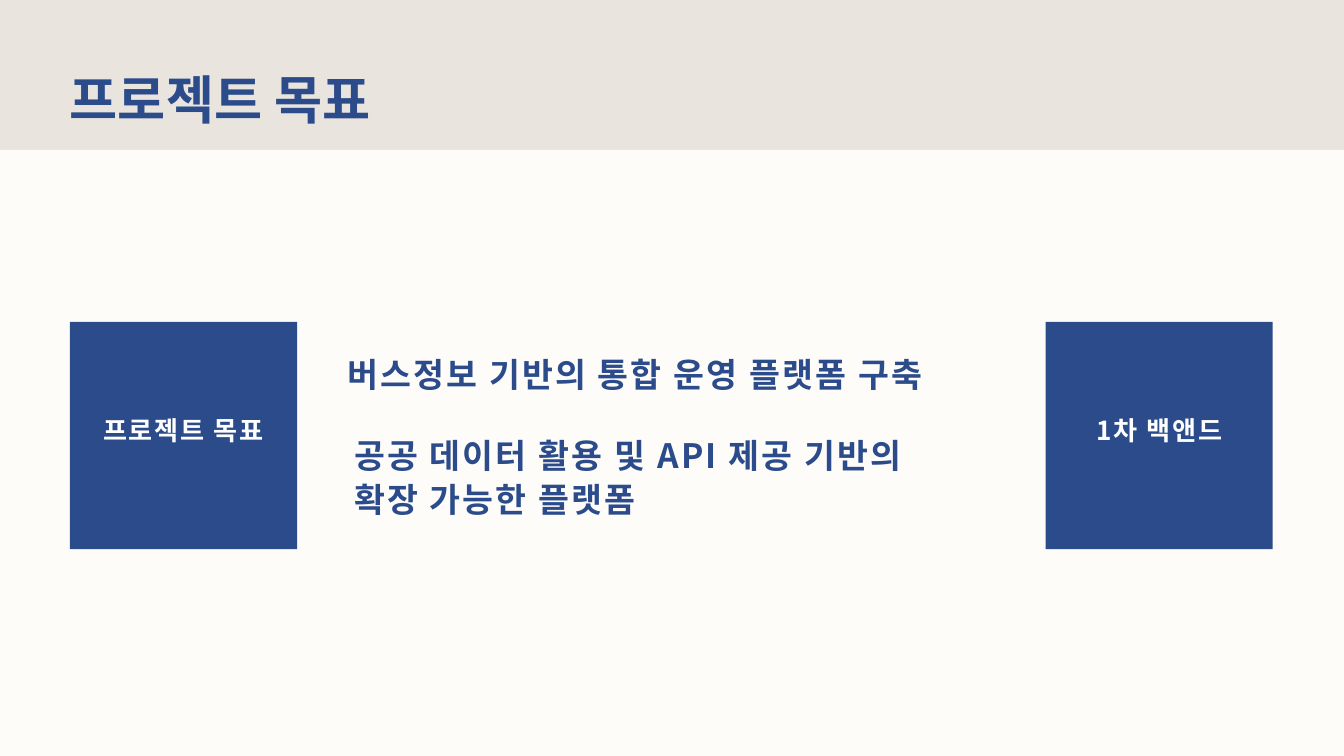
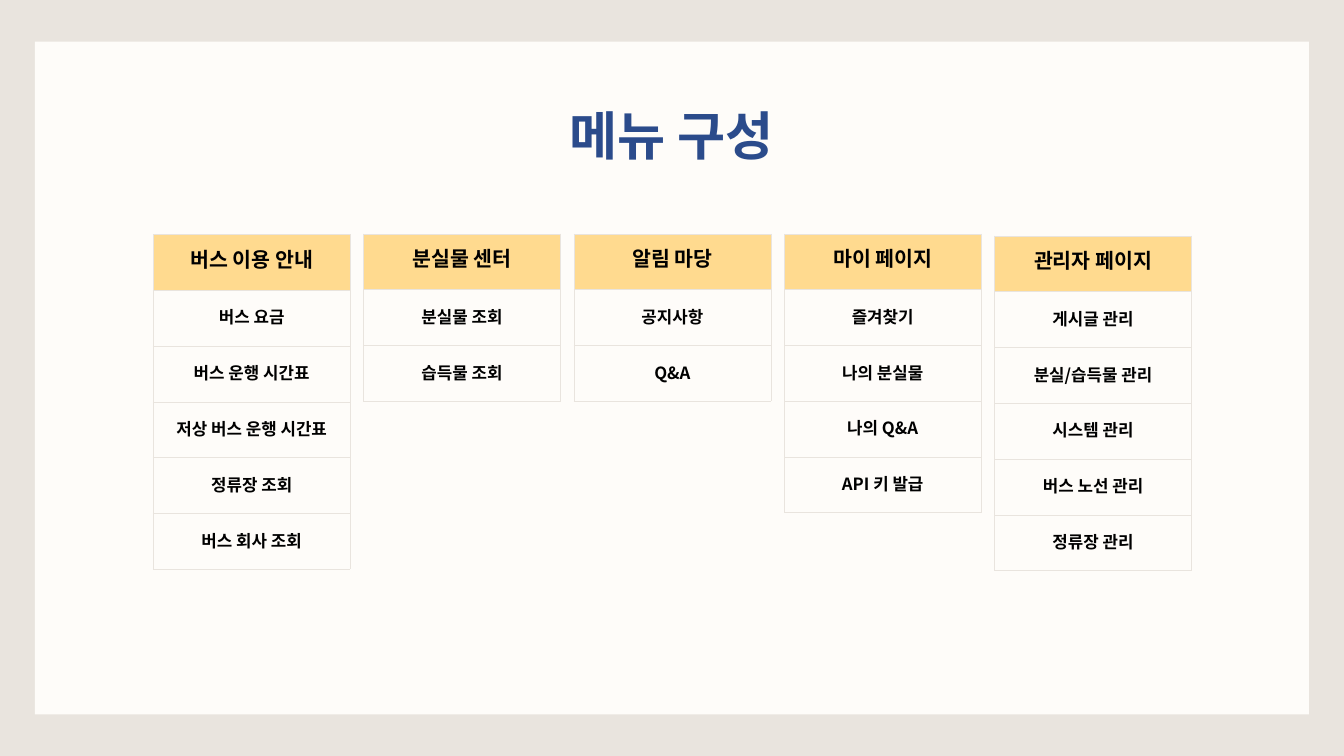
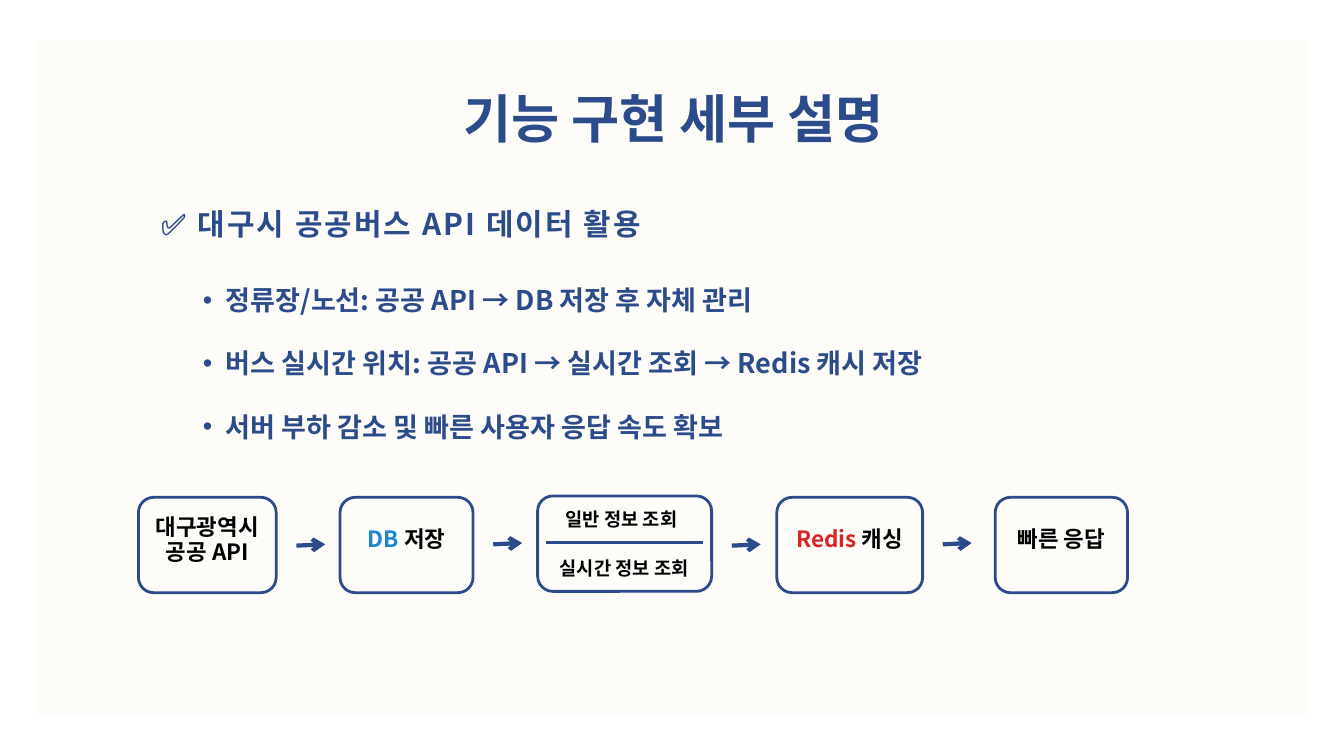
from pptx import Presentation
from pptx.dml.color import RGBColor
from pptx.enum.shapes import MSO_CONNECTOR, MSO_SHAPE
from pptx.enum.text import MSO_ANCHOR, PP_ALIGN
from pptx.oxml.ns import qn
from pptx.util import Inches, Pt
from lxml.etree import SubElement

# Shared look
NAVY = RGBColor(0x2B, 0x4B, 0x8B)
CREAM = RGBColor(0xFE, 0xFC, 0xF9)
SAND = RGBColor(0xE9, 0xE4, 0xDE)
YELLOW = RGBColor(0xFF, 0xDA, 0x8F)
WHITE = RGBColor(0xFF, 0xFF, 0xFF)
BLACK = RGBColor(0, 0, 0)
BLUE = RGBColor(0x19, 0x86, 0xCF)
RED = RGBColor(0xD9, 0x24, 0x24)
FONT = "Noto Sans CJK KR"
WIDTH, HEIGHT = 20, 11.25
FRAME_X, FRAME_Y = 0.52, 0.62

# Text styles: size, colour, line spacing in points, letter spacing in points
CENTER = PP_ALIGN.CENTER
TITLE = dict(size=56, color=NAVY, line=78.4)
TITLE_CENTER = dict(TITLE, align=CENTER)
GOAL = dict(size=36, color=NAVY, line=47.5, tracking=2.3)
SQUARE = dict(size=28, color=WHITE, line=39.2, tracking=1.9, align=CENTER)
MENU_HEAD = dict(size=22, color=BLACK, line=22.7, align=CENTER)
MENU_ITEM = dict(MENU_HEAD, size=18)
HEADING = dict(size=32, color=NAVY, line=49.6, tracking=2.2)
BULLET = dict(size=29, color=NAVY, line=40.6, bullet="•")
NODE = dict(size=24, color=BLACK, line=26.6, align=CENTER)
NODE_SMALL = dict(NODE, size=20)

# Content: a paragraph is a string or a list of (text, colour) runs
SQUARES = [(1.04, "프로젝트 목표"), (15.56, "1차 백앤드")]
SQUARE_TOP, SQUARE_SIDE = 4.79, 3.38
GOALS = [
    ((5.17, 5.21, 10.17, 0.61), ["버스정보 기반의 통합 운영 플랫폼 구축"]),
    ((5.27, 6.41, 9.16, 1.35), ["공공 데이터 활용 및 API 제공 기반의", "확장 가능한 플랫폼"]),
]

MENUS = [  # top, header, items
    (3.49, "버스 이용 안내", ["버스 요금", "버스 운행 시간표", "저상 버스 운행 시간표",
                        "정류장 조회", "버스 회사 조회"]),
    (3.48, "분실물 센터", ["분실물 조회", "습득물 조회"]),
    (3.48, "알림 마당", ["공지사항", "Q&A"]),
    (3.48, "마이 페이지", ["즐겨찾기", "나의 분실물", "나의 Q&A", "API 키 발급"]),
    (3.51, "관리자 페이지", ["게시글 관리", "분실/습득물 관리", "시스템 관리",
                       "버스 노선 관리", "정류장 관리"]),
]
MENU_LEFT, MENU_PITCH, MENU_WIDTH, MENU_ROW = 2.28, 3.13, 2.93, 0.83

BULLETS = [
    "정류장/노선: 공공 API → DB 저장 후 자체 관리",
    "버스 실시간 위치: 공공 API → 실시간 조회 → Redis 캐시 저장",
    "서버 부하 감소 및 빠른 사용자 응답 속도 확보",
]
FLOW = [  # left, top, width, paragraphs
    (2.06, 7.4, 2.05, ["대구광역시", "공공 API"]),
    (5.06, 7.4, 1.98, [[("DB", BLUE), (" 저장", BLACK)]]),
    (8, 7.38, 2.59, []),
    (11.56, 7.4, 2.17, [[("Redis ", RED), ("캐싱", BLACK)]]),
    (14.81, 7.4, 1.97, ["빠른 응답"]),
]
FLOW_HEIGHT = 1.42
ARROW_STARTS = [8.12, 8.1, 8.12, 8.1]
ARROW_GAP, ARROW_LENGTH, ARROW_RISE = 0.3, 0.43, 0.02
LOOKUPS = [((8.21, 7.52, 2.08, 0.38), "일반 정보 조회"),
           ((8.11, 8.25, 2.36, 0.35), "실시간 정보 조회")]


# Text helpers
def write(frame, paragraphs, style, insets=(0, 0, 0, 0), anchor=MSO_ANCHOR.TOP):
    frame.word_wrap = True
    frame.vertical_anchor = anchor
    for side, inset in zip(("left", "top", "right", "bottom"), insets):
        setattr(frame, f"margin_{side}", Inches(inset))
    for index, content in enumerate(paragraphs):
        paragraph = frame.add_paragraph() if index else frame.paragraphs[0]
        write_paragraph(paragraph, content, style)


def write_paragraph(paragraph, content, style):
    paragraph.alignment = style.get("align", PP_ALIGN.LEFT)
    paragraph.line_spacing = Pt(style["line"])
    if "bullet" in style:
        paragraph.level = 1
        properties = paragraph._p.get_or_add_pPr()
        properties.set("marL", str(Inches(0.68)))
        properties.set("indent", str(Inches(-0.34)))
        SubElement(properties, qn("a:buFont"), typeface="Arial")
        SubElement(properties, qn("a:buChar"), char=style["bullet"])
    runs = [(content, style["color"])] if isinstance(content, str) else content
    for text, color in runs:
        run = paragraph.add_run()
        run.text = text
        for name, value in dict(name=FONT, size=Pt(style["size"]), bold=True).items():
            setattr(run.font, name, value)
        run.font.color.rgb = color
        properties = run._r.get_or_add_rPr()
        SubElement(properties, qn("a:ea"), typeface=FONT)
        if "tracking" in style:
            properties.set("spc", str(round(style["tracking"] * 100)))


def add_text(slide, box, paragraphs, style):
    shape = slide.shapes.add_textbox(*map(Inches, box))
    write(shape.text_frame, paragraphs, style)


# Shape helpers
def add_box(slide, box, fill=None, line=None, kind=MSO_SHAPE.RECTANGLE):
    shape = slide.shapes.add_shape(kind, *map(Inches, box))
    shape.shadow.inherit = False
    if fill is None:
        shape.fill.background()
    else:
        shape.fill.solid()
        shape.fill.fore_color.rgb = fill
    if line is None:
        shape.line.fill.background()
    else:
        shape.line.color.rgb = line
        shape.line.width = Pt(3)
    return shape


def add_line(slide, start, end, width, arrow=False):
    connector = slide.shapes.add_connector(
        MSO_CONNECTOR.STRAIGHT, *map(Inches, (*start, *end)))
    connector.line.color.rgb = NAVY
    connector.line.width = Pt(width)
    if arrow:
        SubElement(connector.line._get_or_add_ln(), qn("a:tailEnd"), type="arrow")
    SubElement(connector._element.spPr, qn("a:effectLst"))


def add_menu(slide, left, top, header, items):
    rows = [header, *items]
    table = slide.shapes.add_table(
        len(rows), 1, Inches(left), Inches(top),
        Inches(MENU_WIDTH), Inches(MENU_ROW * len(rows))).table
    for index, text in enumerate(rows):
        table.rows[index].height = Inches(MENU_ROW)
        cell = table.cell(index, 0)
        write(cell.text_frame, [text], MENU_ITEM if index else MENU_HEAD)
        cell.vertical_anchor = MSO_ANCHOR.MIDDLE
        for side in ("left", "top", "right", "bottom"):
            setattr(cell, f"margin_{side}", Inches(0.18))
        add_borders(cell)
        if index:
            cell.fill.background()
        else:
            cell.fill.solid()
            cell.fill.fore_color.rgb = YELLOW


def add_borders(cell):
    properties = cell._tc.get_or_add_tcPr()
    for side in "LRTB":
        border = SubElement(properties, qn(f"a:ln{side}"), w=str(Pt(0.55)))
        fill = SubElement(border, qn("a:solidFill"))
        SubElement(fill, qn("a:srgbClr"), val=str(SAND))


def add_slide(presentation, background, framed=False):
    slide = presentation.slides.add_slide(presentation.slide_layouts[6])
    slide.background.fill.solid()
    slide.background.fill.fore_color.rgb = background
    if framed:
        add_box(slide, (FRAME_X, FRAME_Y, WIDTH - 2 * FRAME_X, HEIGHT - 2 * FRAME_Y), CREAM)
    return slide


# Slides
def build_goal(presentation):
    slide = add_slide(presentation, CREAM)
    add_box(slide, (0, 0, WIDTH, 2.23), SAND)
    add_text(slide, (1.04, 0.84, 9.21, 0.99), ["프로젝트 목표"], TITLE)
    for left, label in SQUARES:
        square = add_box(slide, (left, SQUARE_TOP, SQUARE_SIDE, SQUARE_SIDE), NAVY)
        write(square.text_frame, [label], SQUARE, (0.06, 0.06, 0.06, 0.29), MSO_ANCHOR.MIDDLE)
    for box, paragraphs in GOALS:
        add_text(slide, box, paragraphs, GOAL)


def build_menus(presentation):
    slide = add_slide(presentation, SAND, framed=True)
    add_text(slide, (5.39, 1.38, 9.21, 0.99), ["메뉴 구성"], TITLE_CENTER)
    for column, (top, header, items) in enumerate(MENUS):
        add_menu(slide, MENU_LEFT + column * MENU_PITCH, top, header, items)


def build_features(presentation):
    slide = add_slide(presentation, WHITE, framed=True)
    add_text(slide, (5.42, 1.13, 9.21, 1.09), ["기능 구현 세부 설명"], TITLE_CENTER)
    add_text(slide, (2.39, 2.9, 8.08, 0.7), ["✅ 대구시 공공버스 API 데이터 활용"], HEADING)
    for row, text in enumerate(BULLETS):
        add_text(slide, (2.68, 4.14 + 0.94 * row, 14.91, 0.52), [text], BULLET)

    # Flow of rounded boxes, with an arrow after each but the last
    for left, top, width, paragraphs in FLOW:
        node = add_box(slide, (left, top, width, FLOW_HEIGHT), line=NAVY,
                       kind=MSO_SHAPE.ROUNDED_RECTANGLE)
        node.adjustments[0] = 0.16
        write(node.text_frame, paragraphs, NODE, (0.06, 0.06, 0.06, 0.21), MSO_ANCHOR.MIDDLE)
    for (left, _, width, _), y in zip(FLOW, ARROW_STARTS):
        x = left + width + ARROW_GAP
        add_line(slide, (x, y), (x + ARROW_LENGTH, y - ARROW_RISE), 4.5, arrow=True)

    # Split box in the middle of the flow
    add_line(slide, (8.12, 8.07), (10.46, 8.07), 3)
    for box, text in LOOKUPS:
        add_text(slide, box, [text], NODE_SMALL)


def main():
    presentation = Presentation()
    presentation.slide_width = Inches(WIDTH)
    presentation.slide_height = Inches(HEIGHT)
    for build in (build_goal, build_menus, build_features):
        build(presentation)
    presentation.save("out.pptx")


if __name__ == "__main__":
    main()
